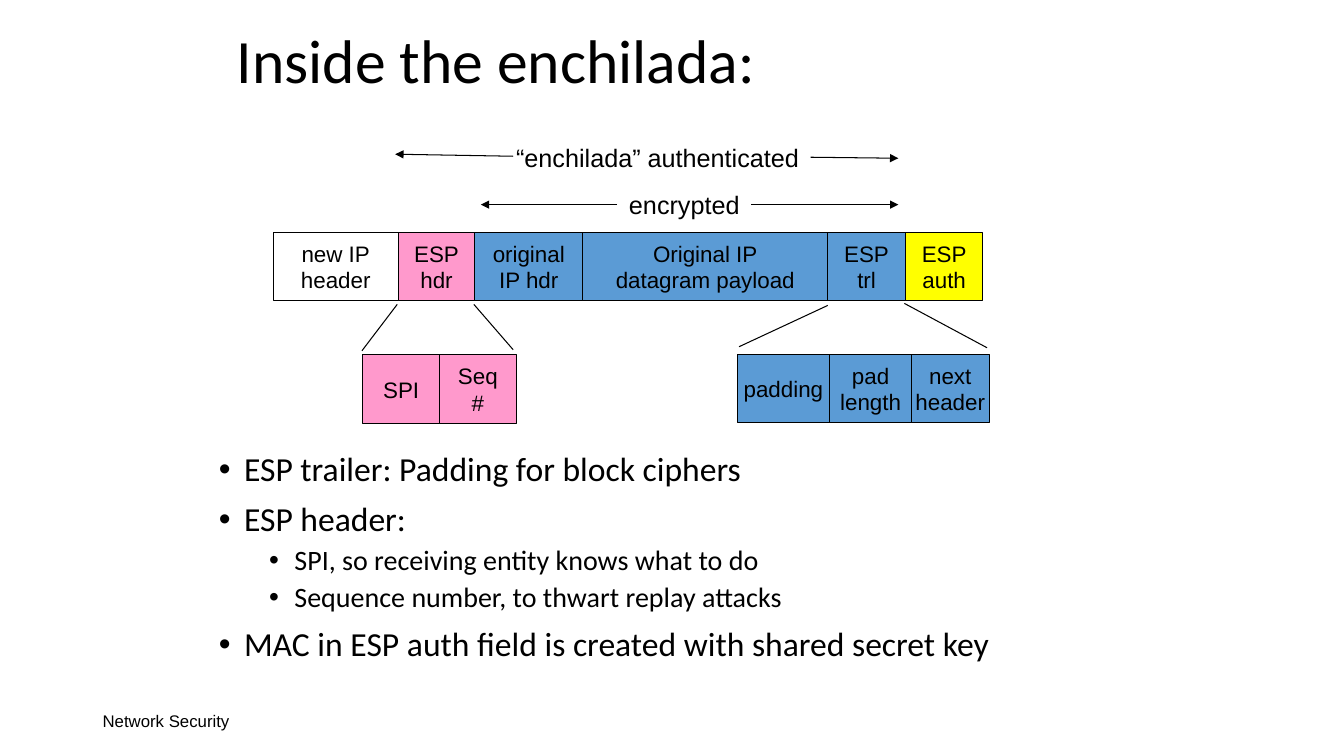
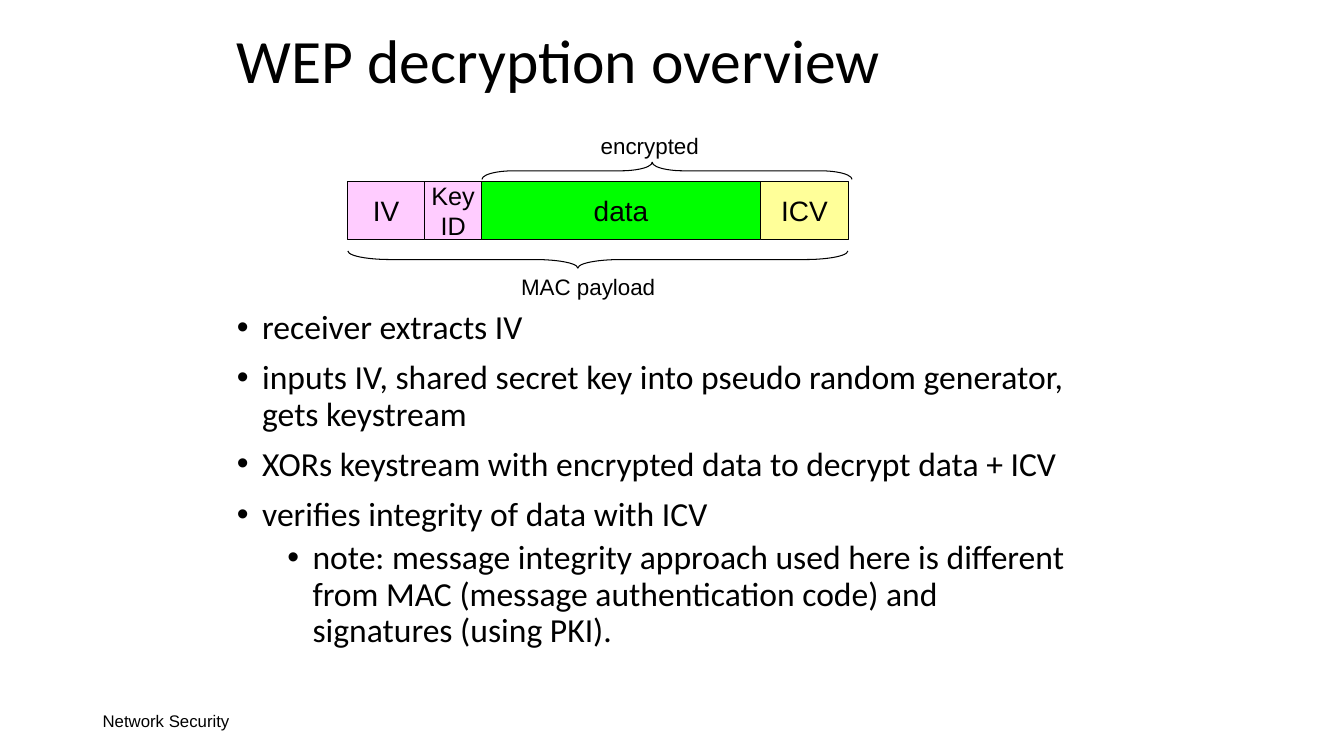
from lxml.etree import SubElement
from pptx import Presentation
from pptx.dml.color import RGBColor
from pptx.enum.shapes import MSO_CONNECTOR as CONN, MSO_SHAPE as SHAPE
from pptx.enum.text import MSO_ANCHOR as ANCHOR, MSO_AUTO_SIZE as AUTO, PP_ALIGN as ALIGN
from pptx.oxml.ns import qn
from pptx.util import Inches, Pt

BLACK = RGBColor(0x00, 0x00, 0x00)
ROSE = RGBColor(0xFF, 0x99, 0xCC)
BLUE = RGBColor(0x5B, 0x9B, 0xD5)
YELLOW = RGBColor(0xFF, 0xFF, 0x00)
LILAC = RGBColor(0xFF, 0xCC, 0xFF)
GREEN = RGBColor(0x00, 0xFF, 0x00)
CREAM = RGBColor(0xFF, 0xFF, 0x99)


class Deck:
    heading_font = "Calibri"
    diagram_font = "Arial"
    line_width = Pt(0.75)
    body_width = 8.5
    bullet_step = 0.5
    bullet_hang = 0.25
    space_before = (10, 5)

    def __init__(self):
        self.prs = Presentation()
        self.prs.slide_width = Inches(13.33)
        self.prs.slide_height = Inches(7.5)
        self.slide = None

    def new_slide(self, title):
        self.slide = self.prs.slides.add_slide(self.prs.slide_layouts[1])
        tf = self.place(self.slide.shapes.title, 2.25, 0.01, 1.25)
        tf.vertical_anchor = ANCHOR.MIDDLE
        p = tf.paragraphs[0]
        self.add_text(p, title, 44, self.heading_font, alignment=ALIGN.LEFT, line_spacing=0.9)
        self.label("Network Security", 0.92, 6.95, 3, 0.4, 12, ANCHOR.MIDDLE)

    def place(self, holder, left, top, height):
        box = {"left": left, "top": top, "width": self.body_width, "height": height}
        for name, value in box.items():
            setattr(holder, name, Inches(value))
        tf = holder.text_frame
        tf.auto_size = AUTO.NONE
        return tf

    def add_text(self, p, text, size, font, **layout):
        for name, value in layout.items():
            setattr(p, name, value)
        r = p.add_run()
        r.text = text
        for name, value in {"name": font, "size": Pt(size)}.items():
            setattr(r.font, name, value)
        r.font.color.rgb = BLACK

    def add_text_lines(self, tf, text, size, align):
        for i, line in enumerate(text.split("\n")):
            p = tf.add_paragraph() if i else tf.paragraphs[0]
            self.add_text(p, line, size, self.diagram_font, alignment=align)

    def bullets(self, left, top, height, items, sizes):
        tf = self.place(self.slide.placeholders[1], left, top, height)
        for i, (level, text) in enumerate(items):
            p = tf.add_paragraph() if i else tf.paragraphs[0]
            p.level = level
            pPr = p._p.get_or_add_pPr()
            pPr.set("marL", str(Inches(self.bullet_hang + level * self.bullet_step)))
            pPr.set("indent", str(-Inches(self.bullet_hang)))
            SubElement(pPr, qn("a:buFont"), typeface=self.diagram_font)
            SubElement(pPr, qn("a:buChar"), char="•")
            before = Pt(self.space_before[level] if i else 0)
            self.add_text(p, text, sizes[level], self.heading_font,
                          line_spacing=0.9, space_before=before)

    def label(self, text, left, top, width, height, size, anchor=ANCHOR.TOP):
        s = self.slide.shapes.add_textbox(*map(Inches, (left, top, width, height)))
        tf = s.text_frame
        tf.word_wrap = False
        tf.vertical_anchor = anchor
        self.add_text_lines(tf, text, size, ALIGN.LEFT)

    def outline(self, kind, left, top, width, height, fill=None):
        s = self.slide.shapes.add_shape(kind, *map(Inches, (left, top, width, height)))
        s.shadow.inherit = False
        if fill is None:
            s.fill.background()
        else:
            s.fill.solid()
            s.fill.fore_color.rgb = fill
        s.line.color.rgb = BLACK
        s.line.width = self.line_width
        return s

    def field_row(self, left, top, height, fields):
        for text, width, fill, size in fields:
            s = self.outline(SHAPE.RECTANGLE, left, top, width, height, fill)
            tf = s.text_frame
            tf.word_wrap = False
            tf.vertical_anchor = ANCHOR.MIDDLE
            self.add_text_lines(tf, text, size, ALIGN.CENTER)
            left += width

    def brace(self, left, top, length, rotation, curve, tip):
        depth = 0.17
        s = self.outline(SHAPE.LEFT_BRACE, left + (length - depth) / 2,
                         top + (depth - length) / 2, depth, length)
        s.rotation = rotation
        s.adjustments[0] = curve
        s.adjustments[1] = tip

    def line(self, x1, y1, x2, y2, arrow=False):
        c = self.slide.shapes.add_connector(CONN.STRAIGHT, *map(Inches, (x1, y1, x2, y2)))
        c.line.color.rgb = BLACK
        c.line.width = self.line_width
        if arrow:
            SubElement(c.line._get_or_add_ln(), qn("a:tailEnd"), type="triangle")
        SubElement(c._element.spPr, qn("a:effectLst"))


def esp_slide(deck):
    deck.new_slide("Inside the enchilada:")
    deck.bullets(2.07, 4.44, 2.59, [
        (0, "ESP trailer: Padding for block ciphers"),
        (0, "ESP header:"),
        (1, "SPI, so receiving entity knows what to do"),
        (1, "Sequence number, to thwart replay attacks"),
        (0, "MAC in ESP auth field is created with shared secret key"),
    ], (24, 20))
    deck.field_row(2.71, 2.31, 0.67, [
        ("new IP\nheader", 1.24, None, 16),
        ("ESP\nhdr", 0.76, ROSE, 16),
        ("original\nIP hdr", 1.07, BLUE, 16),
        ("Original IP\ndatagram payload", 2.43, BLUE, 16),
        ("ESP\ntrl", 0.77, BLUE, 16),
        ("ESP\nauth", 0.77, YELLOW, 16),
    ])
    deck.field_row(3.6, 3.52, 0.68, [
        ("SPI", 0.76, ROSE, 16),
        ("Seq\n#", 0.76, ROSE, 16),
    ])
    deck.field_row(7.31, 3.52, 0.67, [
        ("padding", 0.92, BLUE, 16),
        ("pad\nlength", 0.81, BLUE, 16),
        ("next\nheader", 0.77, BLUE, 16),
    ])
    deck.label("encrypted", 6.14, 1.83, 1.3, 0.4, 18)
    deck.label("“enchilada” authenticated", 5.02, 1.36, 3.05, 0.4, 18)
    for ends in [(7.45, 2.03, 8.91, 2.03), (6.12, 2.03, 4.77, 2.03),
                 (8.04, 1.56, 8.91, 1.57), (5.09, 1.55, 3.92, 1.53)]:
        deck.line(*ends, arrow=True)
    for ends in [(3.59, 3.48, 3.94, 3.02), (4.7, 3.02, 5.09, 3.47),
                 (7.33, 3.44, 8.21, 3.03), (9.79, 3.45, 8.97, 3.01)]:
        deck.line(*ends)


def wep_slide(deck):
    deck.new_slide("WEP decryption overview")
    deck.bullets(2.25, 3.03, 3.81, [
        (0, "receiver extracts IV"),
        (0, "inputs IV, shared secret key into pseudo random generator, gets keystream"),
        (0, "XORs keystream with encrypted data to decrypt data + ICV"),
        (0, "verifies integrity of data with ICV"),
        (1, "note: message integrity approach used here is different from MAC "
            "(message authentication code) and signatures (using PKI)."),
    ], (24, 24))
    deck.field_row(3.45, 1.8, 0.58, [
        ("IV", 0.76, LILAC, 20),
        ("Key\nID", 0.57, LILAC, 18),
        ("data", 2.76, GREEN, 20),
        ("ICV", 0.88, CREAM, 20),
    ])
    deck.label("encrypted", 5.86, 1.26, 1.19, 0.37, 16)
    deck.brace(4.78, 1.61, 3.67, 90, 1.84, 0.54)
    deck.brace(3.45, 2.49, 4.96, 270, 2.48, 0.46)
    deck.label("MAC payload", 5.07, 2.66, 1.55, 0.37, 16)


def main():
    deck = Deck()
    esp_slide(deck)
    wep_slide(deck)
    deck.prs.save("out.pptx")


if __name__ == "__main__":
    main()
